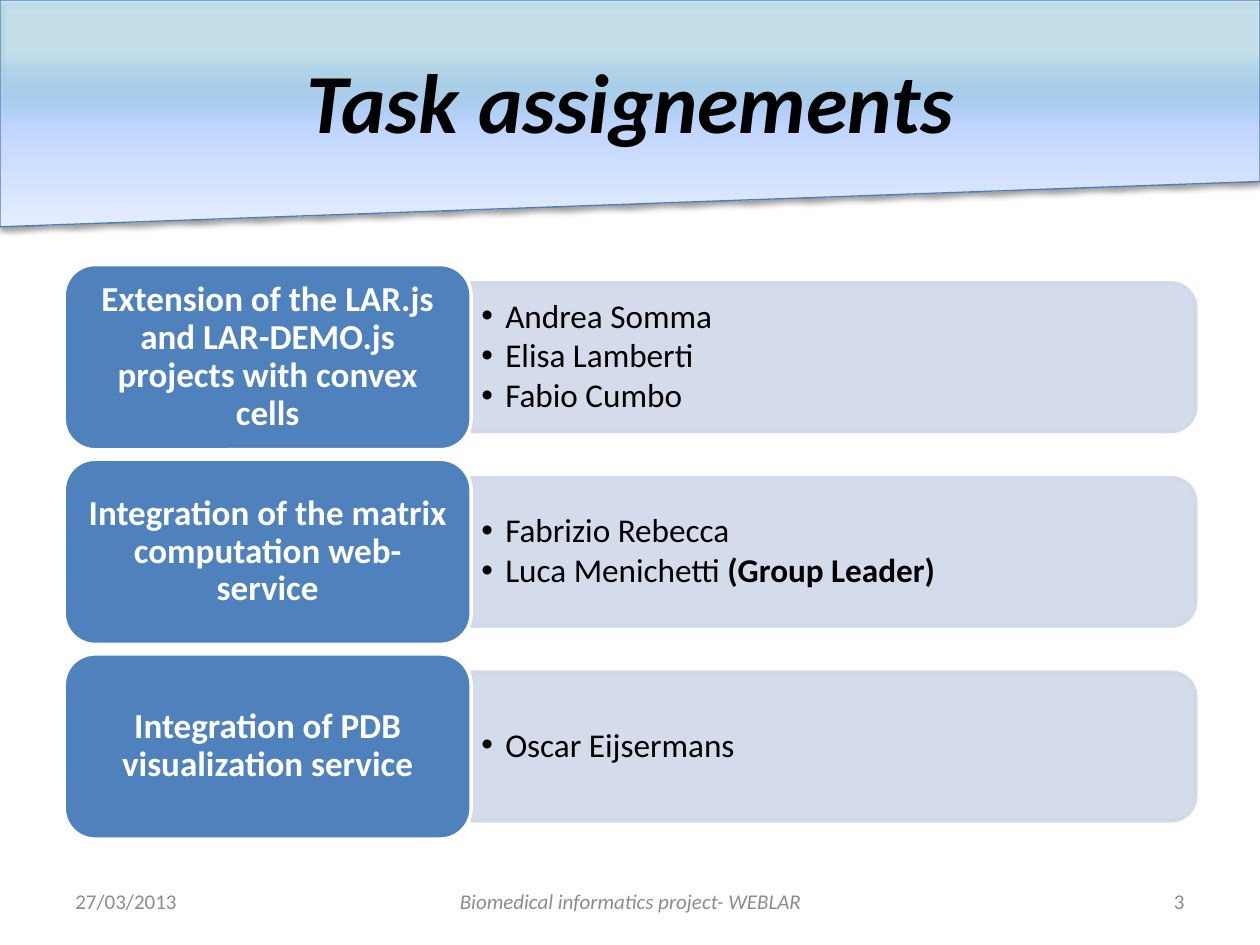
from dataclasses import dataclass
from typing import NamedTuple

from lxml import etree
from pptx import Presentation
from pptx.dml.color import RGBColor
from pptx.enum.shapes import MSO_SHAPE
from pptx.enum.text import MSO_ANCHOR, MSO_AUTO_SIZE, PP_ALIGN
from pptx.oxml import parse_xml
from pptx.oxml.ns import qn
from pptx.util import Inches, Pt

LEFT, MID, RIGHT = PP_ALIGN.LEFT, PP_ALIGN.CENTER, PP_ALIGN.RIGHT
CENTER = MSO_ANCHOR.MIDDLE
FIXED = MSO_AUTO_SIZE.NONE
BANNER = MSO_SHAPE.FLOWCHART_MANUAL_INPUT
PANEL = MSO_SHAPE.ROUND_2_SAME_RECTANGLE
CARD = MSO_SHAPE.ROUNDED_RECTANGLE
NS = 'xmlns:a="http://schemas.openxmlformats.org/drawingml/2006/main"'


@dataclass(frozen=True)
class Theme:
    font: str = "Calibri"
    ink: str = "000000"
    white: str = "FFFFFF"
    gray: str = "8C8C8C"
    card: str = "4F81BD"
    panel: str = "D0D8E8"
    edge: str = "4B7EBC"
    sky: tuple = ((23, "77D4FD", 28), (55, "BFD4FF", 100), (100, "E6EEFF", 100))
    head: int = 48
    task: int = 20
    name: int = 19
    foot: int = 12


class Run(NamedTuple):
    text: str
    bold: bool = False


class Task(NamedTuple):
    label: str
    names: list


class Foot(NamedTuple):
    text: str
    left: float
    width: float
    align: PP_ALIGN
    italic: bool = False


THEME = Theme()
TASKS = [
    Task("Extension of the LAR.js and LAR-DEMO.js projects with convex cells",
         [[Run("Andrea Somma")], [Run("Elisa Lamberti")], [Run("Fabio Cumbo")]]),
    Task("Integration of the matrix computation web-service",
         [[Run("Fabrizio Rebecca")],
          [Run("Luca Menichetti "), Run("(Group Leader)", True)]]),
    Task("Integration of PDB visualization service", [[Run("Oscar Eijsermans")]]),
]
FEET = [
    Foot("27/03/2013", 0.5, 2.33, LEFT),
    Foot("Biomedical informatics project- WEBLAR", 3.42, 3.17, MID, True),
    Foot("3", 7.17, 2.33, RIGHT),
]
TOP, STEP = 2.1, 1.545
CARD_X, CARD_W, CARD_H = 0.51, 3.23, 1.47
LIST_W, LIST_H = 5.69, 1.06
PANEL_W, PANEL_H = 5.75, 1.18


def apply(item, form: dict) -> None:
    for key, value in form.items():
        setattr(item, key, value)


def place(item, x: float, y: float, w: float, h: float) -> None:
    apply(item, dict(left=Inches(x), top=Inches(y), width=Inches(w), height=Inches(h)))


def frame(item, x: float = 0.1, top: float = 0.05, end: float = 0.05):
    box = item.text_frame
    apply(box, dict(word_wrap=True, auto_size=FIXED, vertical_anchor=CENTER,
                    margin_left=Inches(x), margin_right=Inches(x),
                    margin_top=Inches(top), margin_bottom=Inches(end)))
    return box


def write(para, text: str, size: int, color: str, **form) -> None:
    run = para.add_run()
    run.text = text
    apply(run.font, dict(name=THEME.font, size=Pt(size), bold=False, italic=False) | form)
    run.font.color.rgb = RGBColor.from_string(color)


def shape(slide, kind, area: tuple, fill: str, line: str, width: float):
    item = slide.shapes.add_shape(kind, *map(Inches, area))
    item.shadow.inherit = False
    item.fill.solid()
    item.fill.fore_color.rgb = RGBColor.from_string(fill)
    item.line.color.rgb = RGBColor.from_string(line)
    item.line.width = Pt(width)
    return item


def fade(color, alpha: int) -> None:
    etree.SubElement(color, qn("a:alpha")).set("val", str(alpha * 1000))


def banner(slide) -> None:
    item = shape(slide, BANNER, (0, 0, 10, 1.8), THEME.white, THEME.edge, 0.75)
    item.rotation = 180
    prop = item.element.spPr
    stops = "".join(
        f'<a:gs pos="{pos * 1000}"><a:srgbClr val="{color}">'
        f'<a:alpha val="{alpha * 1000}"/></a:srgbClr></a:gs>'
        for pos, color, alpha in THEME.sky)
    prop.replace(prop.find(qn("a:solidFill")), parse_xml(
        f'<a:gradFill {NS} rotWithShape="1"><a:gsLst>{stops}</a:gsLst>'
        '<a:lin ang="16200000" scaled="0"/></a:gradFill>'))
    prop.replace(prop.find(qn("a:effectLst")), parse_xml(
        f'<a:effectLst {NS}><a:outerShdw blurRad="{Pt(3.1)}" dist="{Pt(1.6)}" '
        f'dir="5400000" rotWithShape="0"><a:srgbClr val="{THEME.ink}">'
        '<a:alpha val="38000"/></a:srgbClr></a:outerShdw></a:effectLst>'))


def title(slide) -> None:
    item = slide.shapes.title
    slide.shapes.element.append(item.element)
    place(item, 0, 0, 10, 1.39)
    para = frame(item, top=0.25).paragraphs[0]
    para.alignment = MID
    write(para, "Task assignements", THEME.head, THEME.ink, bold=True, italic=True)


def bullet(para) -> None:
    prop = para._p.get_or_add_pPr()
    prop.set("marL", str(Inches(0.19)))
    prop.set("indent", str(-Inches(0.19)))
    etree.SubElement(prop, qn("a:buChar")).set("char", "•")


def people(body, names: list, mid: float) -> None:
    place(body, CARD_X + CARD_W, mid - LIST_H / 2, LIST_W, LIST_H)
    box = frame(body, 0.08, 0.04, 0.04)
    for i, runs in enumerate(names):
        para = box.add_paragraph() if i else box.paragraphs[0]
        apply(para, dict(level=1, alignment=LEFT, line_spacing=0.9,
                         space_before=Pt(0), space_after=Pt(2.3)))
        bullet(para)
        for run in runs:
            write(para, run.text, THEME.name, THEME.ink, bold=run.bold)


def row(slide, body, task: Task, top: float) -> None:
    mid = top + CARD_H / 2
    x = CARD_X + CARD_W + (PANEL_W - PANEL_H) / 2
    panel = shape(slide, PANEL, (x, mid - PANEL_W / 2, PANEL_H, PANEL_W),
                  THEME.panel, THEME.panel, 2)
    panel.rotation = 90
    for color in panel.element.spPr.iter(qn("a:srgbClr")):
        fade(color, 90)
    slide.shapes.element.append(body.element)
    people(body, task.names, mid)
    card = shape(slide, CARD, (CARD_X, top, CARD_W, CARD_H), THEME.card, THEME.white, 2)
    para = frame(card, 0.08, 0.04, 0.04).paragraphs[0]
    apply(para, dict(alignment=MID, line_spacing=0.9))
    write(para, task.label, THEME.task, THEME.white, bold=True)


def footer(slide, foot: Foot) -> None:
    area = (foot.left, 6.95, foot.width, 0.4)
    para = frame(slide.shapes.add_textbox(*map(Inches, area))).paragraphs[0]
    para.alignment = foot.align
    write(para, foot.text, THEME.foot, THEME.gray, italic=foot.italic)


def main() -> None:
    deck = Presentation()
    apply(deck, dict(slide_width=Inches(10), slide_height=Inches(7.5)))
    slide = deck.slides.add_slide(deck.slide_layouts.get_by_name("Comparison"))
    bodies = list(slide.placeholders)[1:]
    banner(slide)
    for foot in FEET:
        footer(slide, foot)
    title(slide)
    for i, (body, task) in enumerate(zip(bodies, TASKS)):
        row(slide, body, task, TOP + i * STEP)
    for spare in bodies[len(TASKS):]:
        slide.shapes.element.remove(spare.element)
    deck.save("out.pptx")


if __name__ == "__main__":
    main()
